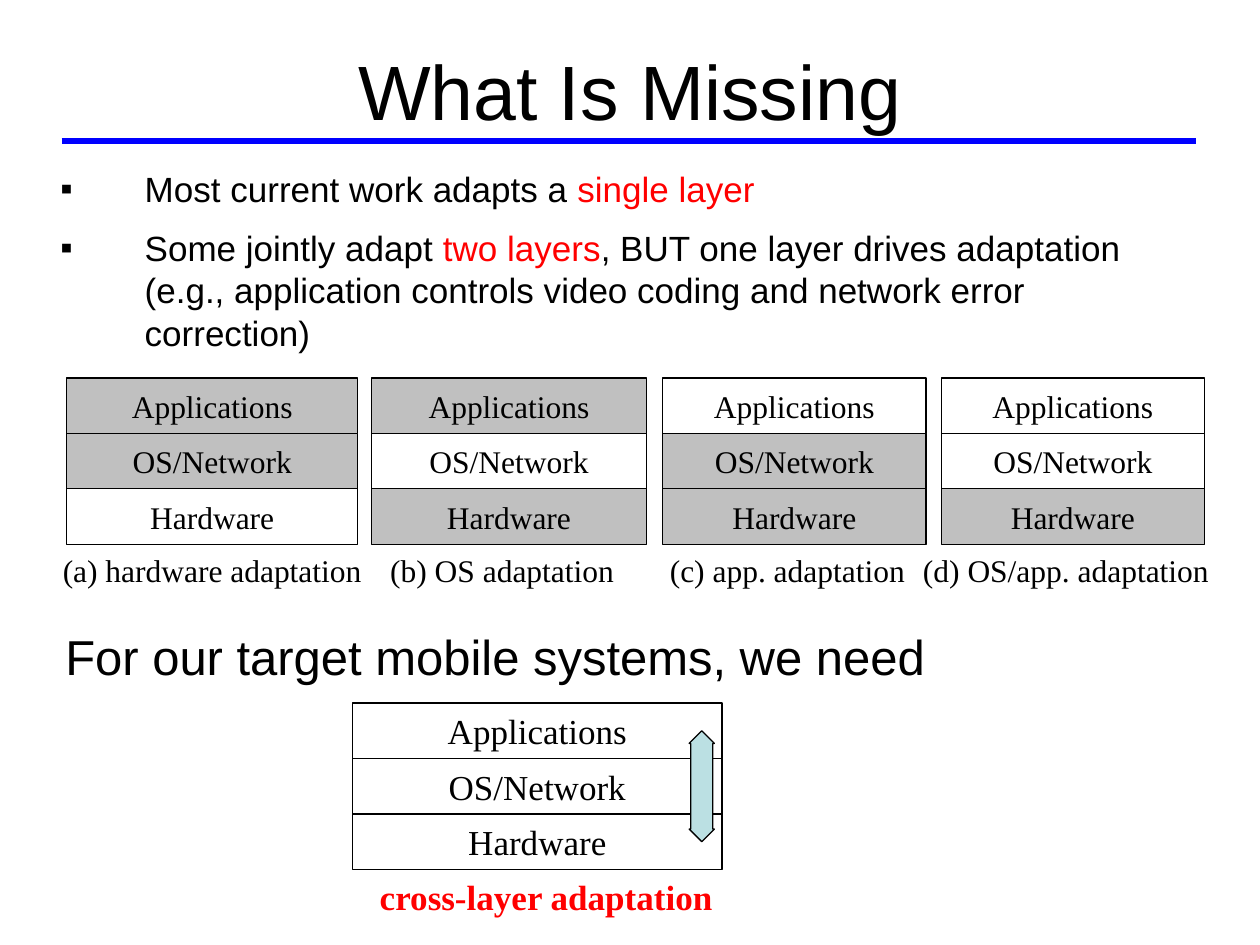
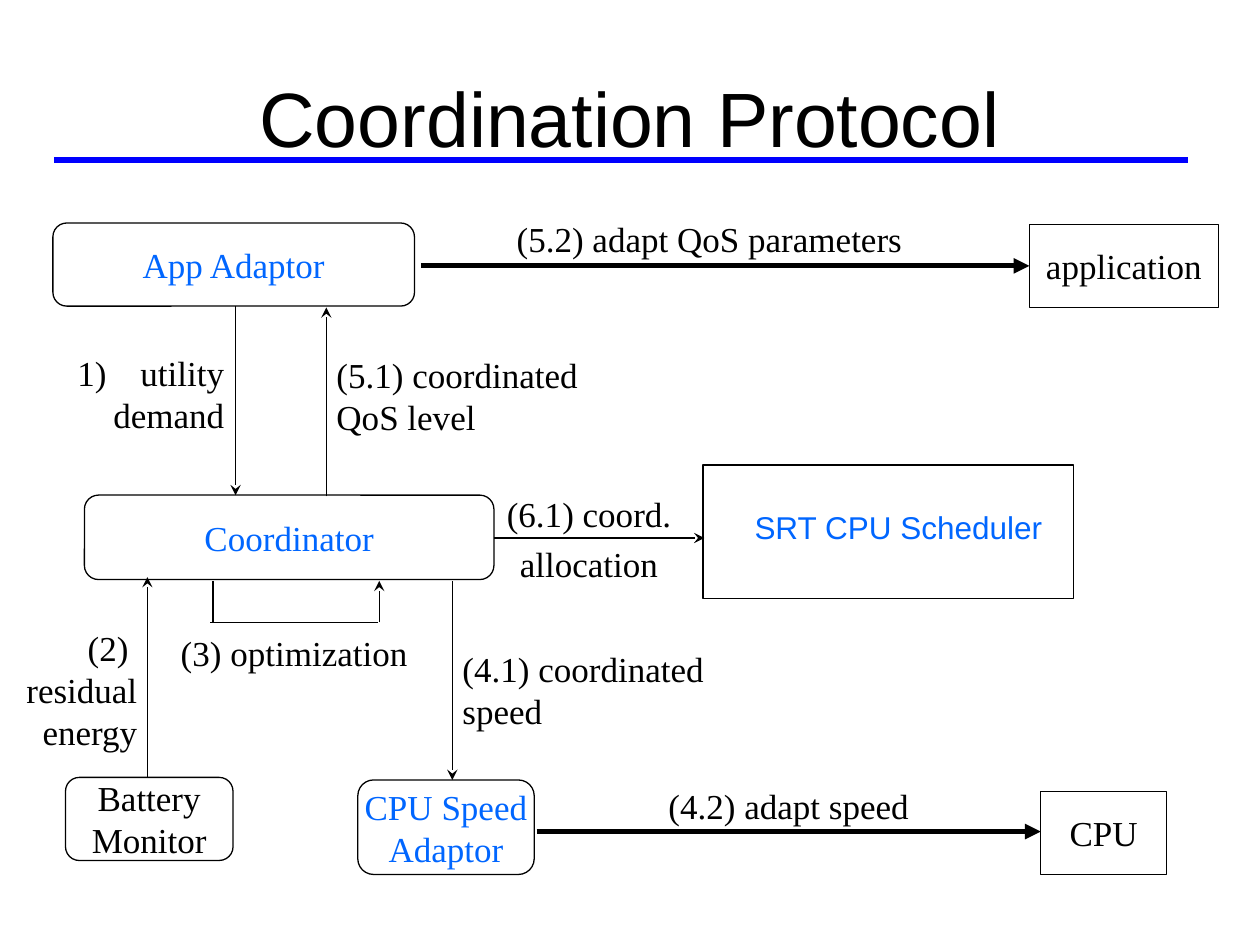
from dataclasses import dataclass

from lxml import etree
from pptx import Presentation
from pptx.dml.color import RGBColor
from pptx.enum.shapes import MSO_CONNECTOR, MSO_SHAPE
from pptx.enum.text import MSO_ANCHOR, MSO_AUTO_SIZE, PP_ALIGN
from pptx.oxml.ns import qn
from pptx.util import Inches, Pt

RECT, ROUND = MSO_SHAPE.RECTANGLE, MSO_SHAPE.ROUNDED_RECTANGLE
UP_DOWN = MSO_SHAPE.UP_DOWN_ARROW
STRAIGHT = MSO_CONNECTOR.STRAIGHT
TOP, MIDDLE = MSO_ANCHOR.TOP, MSO_ANCHOR.MIDDLE
LEFT, CENTER, RIGHT = PP_ALIGN.LEFT, PP_ALIGN.CENTER, PP_ALIGN.RIGHT
NO_FIT = MSO_AUTO_SIZE.NONE


@dataclass(frozen=True)
class Theme:
    """Colours, fonts, type sizes and line widths of the deck."""
    black: str = "000000"
    red: str = "FF0000"
    blue: str = "0066FF"
    rule: str = "0000FF"
    grey: str = "C0C0C0"
    teal: str = "BBE0E3"
    sans: str = "Arial"
    serif: str = "Times New Roman"
    title: int = 44
    lead: int = 28
    body: int = 20
    small: int = 18
    thin: float = 0.75
    thick: float = 3


T = Theme()
PAD = (0.1, 0.05, 0.1, 0.05)
FLUSH = (0, 0.05, 0, 0.05)
LAYERS = ("Applications", "OS/Network", "Hardware")
LAYER_H = 0.44


def rgb(value):
    """Turn a hex string into a colour."""
    return RGBColor.from_string(value)


def add_bullet(p, mark, indent):
    """Give a paragraph a hanging bullet, or a number if mark is None."""
    pPr = p._p.get_or_add_pPr()
    pPr.set("marL", str(Inches(indent)))
    pPr.set("indent", str(-Inches(indent)))
    if mark:
        etree.SubElement(pPr, qn("a:buFont")).set("typeface", T.sans)
        etree.SubElement(pPr, qn("a:buChar")).set("char", mark)
    else:
        etree.SubElement(pPr, qn("a:buAutoNum")).set("type", "arabicParenR")


def write(shape, paragraphs, size=T.body, font=T.serif, color=T.black, bold=False,
          align=CENTER, anchor=MIDDLE, wrap=True, inset=PAD, spacing=None,
          before=0, bullet=None, indent=0):
    """Fill a shape with paragraphs, each a string or a list of (text, colour)."""
    tf = shape.text_frame
    tf.auto_size, tf.word_wrap, tf.vertical_anchor = NO_FIT, wrap, anchor
    tf.margin_left, tf.margin_top, tf.margin_right, tf.margin_bottom = map(Inches, inset)
    for i, runs in enumerate(paragraphs):
        p = tf.add_paragraph() if i else tf.paragraphs[0]
        if indent:
            add_bullet(p, bullet, indent)
        p.alignment = align
        if spacing:
            p.line_spacing = spacing
        if i:
            p.space_before = Pt(before)
        for words, tint in [(runs, color)] if isinstance(runs, str) else runs:
            r = p.add_run()
            r.text = words
            r.font.size, r.font.name, r.font.bold = Pt(size), font, bold
            r.font.color.rgb = rgb(tint)


def add_label(s, box, *paragraphs, **fmt):
    """Add a wrapping text box, anchored at its top."""
    write(s.shapes.add_textbox(*map(Inches, box)), paragraphs, anchor=TOP, **fmt)


def add_box(s, kind, box, *paragraphs, fill=None, **fmt):
    """Add an outlined shape, with optional fill and centred text."""
    sp = s.shapes.add_shape(kind, *map(Inches, box))
    sp.shadow.inherit = False
    if fill:
        sp.fill.solid()
        sp.fill.fore_color.rgb = rgb(fill)
    else:
        sp.fill.background()
    sp.line.color.rgb, sp.line.width = rgb(T.black), Pt(T.thin)
    if paragraphs:
        write(sp, paragraphs, wrap=False, **fmt)
    return sp


def add_line(s, start, end, color=T.black, width=T.thin, head=None):
    """Add a straight line, with an optional arrowhead at its end."""
    c = s.shapes.add_connector(STRAIGHT, *map(Inches, (*start, *end)))
    c.line.color.rgb, c.line.width = rgb(color), Pt(width)
    spPr = c._element.spPr
    if head:
        etree.SubElement(spPr.find(qn("a:ln")), qn("a:tailEnd")).set("type", head)
    etree.SubElement(spPr, qn("a:effectLst"))


def add_titled_slide(prs, title, box, rule_at):
    """Add a slide with its title and the blue rule below it."""
    s = prs.slides.add_slide(prs.slide_layouts[5])
    sp = s.shapes.title
    sp.left, sp.top, sp.width, sp.height = map(Inches, box)
    write(sp, [title], size=T.title, font=T.sans)
    x, y = rule_at
    add_line(s, (x, y), (x + 9, y), color=T.rule, width=T.thick)
    return s


def add_stack(s, x, y, w, shaded="", size=T.small):
    """Stack the three system layers, shading those whose initial is listed."""
    for i, layer in enumerate(LAYERS):
        add_box(s, RECT, (x, y + i * LAYER_H, w, LAYER_H), layer, size=size,
                fill=T.grey if layer[0] in shaded else None)


def add_existing_work(s, x, y):
    """Show the four existing approaches side by side with captions."""
    stacks = (
        (0, 2.31, "AO", -0.11, 2.53, "(a) hardware adaptation"),
        (2.42, 2.18, "AH", 2.31, 2.29, "(b) OS adaptation"),
        (4.73, 2.09, "OH", 4.73, 1.98, "(c) app. adaptation"),
        (6.94, 2.09, "H", 6.72, 2.42, "(d) OS/app. adaptation"),
    )
    for left, w, shaded, caption_left, caption_w, caption in stacks:
        add_stack(s, x + left, y, w, shaded)
        add_label(s, (x + caption_left, y + 3 * LAYER_H, caption_w, 0.35), caption,
                  size=T.small, inset=(0, 0.05, 0, 0))


def add_cross_layer(s, x, y):
    """Show the proposed stack, whose layers adapt together."""
    add_stack(s, x, y, 2.93, size=T.body)
    arrow = add_box(s, UP_DOWN, (x + 2.67, y + 0.22, 0.2, 2 * LAYER_H), fill=T.teal)
    arrow.adjustments[0], arrow.adjustments[1] = 0.5, 0.876
    add_label(s, (x - 0.13, y + 3 * LAYER_H, 3.33, 0.39), "cross-layer adaptation",
              color=T.red, bold=True, inset=(0, 0.05, 0, 0))


def add_missing_slide(prs):
    """Build the slide on what current work lacks."""
    s = add_titled_slide(prs, "What Is Missing", (0.75, 0.17, 8.5, 1.08), (0.49, 1.12))
    add_label(s, (0.38, 1.28, 9.25, 1.33),
              [("Most current work adapts a ", T.black), ("single layer", T.red)],
              [("Some jointly adapt ", T.black), ("two layers", T.red),
               (", BUT one layer drives adaptation (e.g., application controls "
                "video coding and network error correction)", T.black)],
              font=T.sans, align=LEFT, before=10, bullet="▪", indent=0.67)
    add_existing_work(s, 0.53, 3)
    add_label(s, (0.42, 4.92, 9.25, 0.67), "For our target mobile systems, we need",
              size=T.lead, font=T.sans, align=LEFT)
    add_cross_layer(s, 2.8, 5.58)


def add_protocol(s, x, y):
    """Draw the parts of the protocol and the numbered messages between them."""
    nodes = (
        (ROUND, (0.42, 0.27, 2.87, 0.66), T.blue, ["App Adaptor"]),
        (ROUND, (0.67, 2.43, 3.25, 0.67), T.blue, ["Coordinator"]),
        (ROUND, (0.52, 4.67, 1.33, 0.66), T.black, ["Battery", "Monitor"]),
        (ROUND, (2.84, 4.69, 1.4, 0.75), T.blue, ["CPU Speed", "Adaptor"]),
        (RECT, (8.17, 0.28, 1.5, 0.66), T.black, ["application"]),
        (RECT, (8.26, 4.78, 1, 0.66), T.black, ["CPU"]),
        (RECT, (5.58, 2.19, 2.94, 1.06), T.black, []),
    )
    for kind, (left, top, w, h), color, lines in nodes:
        add_box(s, kind, (x + left, y + top, w, h), *lines, color=color)

    messages = (
        ((1.87, 0.93), (1.87, 2.43), "stealth", T.thin),
        ((2.59, 2.44), (2.59, 0.94), "stealth", T.thin),
        ((1.17, 4.67), (1.17, 3.08), "stealth", T.thin),
        ((3.59, 3.11), (3.59, 4.69), "stealth", T.thin),
        ((3.92, 2.77), (5.59, 2.77), "stealth", T.thin),
        ((1.69, 3.11), (1.69, 3.44), None, T.thin),
        ((1.67, 3.44), (3, 3.44), None, T.thin),
        ((3.01, 3.44), (3.01, 3.11), "stealth", T.thin),
        ((3.34, 0.61), (8.17, 0.61), "triangle", T.thick),
        ((4.26, 5.1), (8.26, 5.1), "triangle", T.thick),
    )
    for (x1, y1), (x2, y2), head, width in messages:
        add_line(s, (x + x1, y + y1), (x + x2, y + y2), width=width, head=head)

    flush_left = dict(align=LEFT, inset=FLUSH)
    flush_right = dict(align=RIGHT, inset=FLUSH)
    labels = (
        ((0.24, 1.24, 1.54, 0.77), ["utility demand"], dict(flush_right, indent=0.5)),
        ((0.08, 3.42, 1.01, 1.1), ["(2) ", "residual energy"], flush_right),
        ((1.42, 3.46, 1.83, 0.44), ["(3) optimization"], dict(inset=FLUSH)),
        ((3.67, 3.59, 2.25, 0.77), ["(4.1) coordinated speed"], flush_left),
        ((4.26, 4.61, 4, 0.5), ["(4.2) adapt speed"], dict(inset=FLUSH, spacing=1.2)),
        ((2.67, 1.26, 1.92, 1.1), ["(5.1) coordinated QoS level"], flush_left),
        ((3.84, 0.11, 3.58, 0.5), ["(5.2) adapt QoS parameters"], dict(spacing=1.2)),
        ((3.84, 2.29, 1.67, 0.9), ["(6.1) coord. allocation"], dict(spacing=1.2)),
        ((5.89, 2.48, 2.6, 0.4), ["SRT CPU Scheduler"],
         dict(size=T.small, font=T.sans, color=T.blue, align=LEFT)),
    )
    for (left, top, w, h), lines, fmt in labels:
        add_label(s, (x + left, y + top, w, h), *lines, **fmt)


def add_protocol_slide(prs):
    """Build the slide on the coordination protocol."""
    s = add_titled_slide(prs, "Coordination Protocol", (0.5, 0.3, 9, 1.25), (0.43, 1.27))
    add_protocol(s, 0, 1.5)


def main():
    """Build and save the deck."""
    prs = Presentation()
    prs.slide_width, prs.slide_height = Inches(10), Inches(7.5)
    add_missing_slide(prs)
    add_protocol_slide(prs)
    prs.save("out.pptx")


if __name__ == "__main__":
    main()
